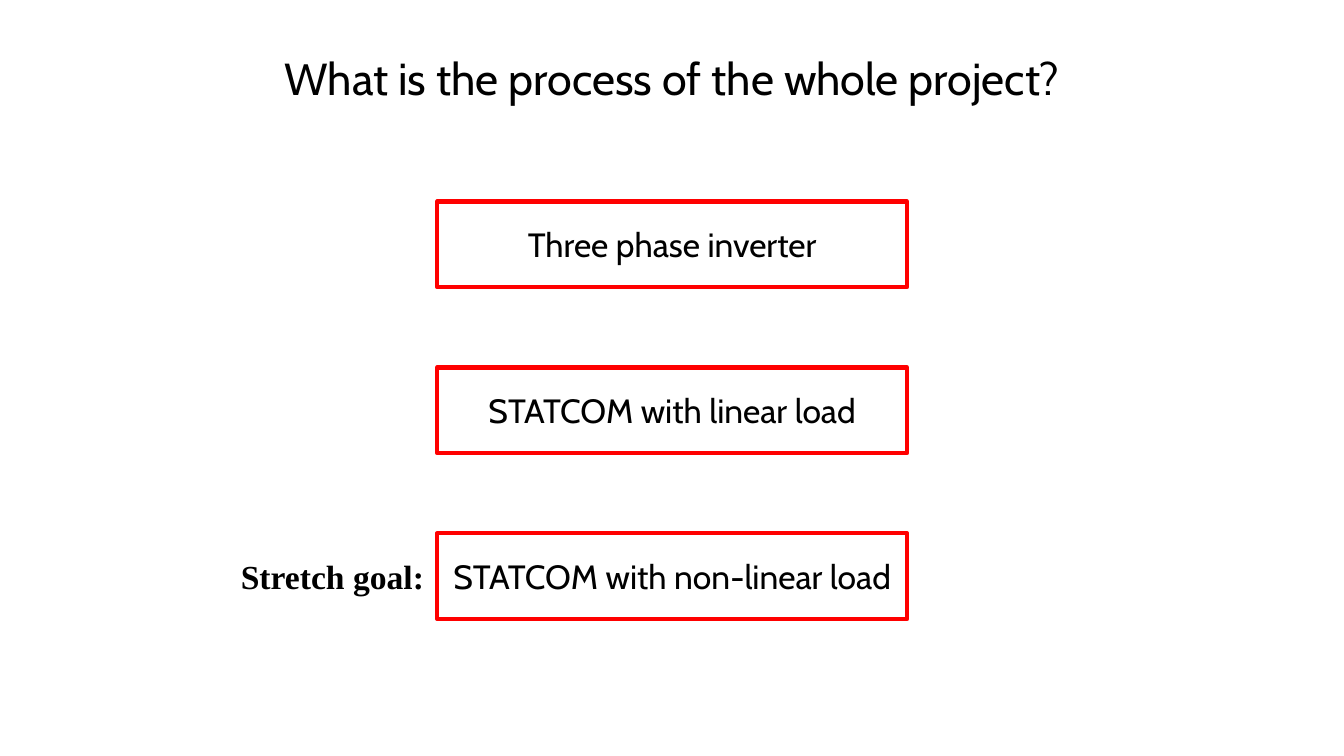
from pptx import Presentation
from pptx.dml.color import RGBColor
from pptx.enum.shapes import MSO_SHAPE
from pptx.enum.text import MSO_ANCHOR, PP_ALIGN
from pptx.util import Cm, Pt

RECTANGLE = MSO_SHAPE.RECTANGLE
MIDDLE = MSO_ANCHOR.MIDDLE
LEFT, CENTER = PP_ALIGN.LEFT, PP_ALIGN.CENTER

COLORS = {"text": "000000", "box": "FFFFFF", "outline": "FF0000"}
STAGES = [
    "Three phase inverter",
    "STATCOM with linear load",
    "STATCOM with non-linear load",
]
STAGE_HEIGHT = 2.16
STRETCH_WIDTH = 5.2
STRETCH_HEIGHT = 1.28


def color(name):
    return RGBColor.from_string(COLORS[name])


def write(frame, text, size, align=CENTER, font="Cabin", bold=False):
    frame.word_wrap = True
    frame.vertical_anchor = MIDDLE
    paragraph = frame.paragraphs[0]
    paragraph.text = text
    paragraph.alignment = align
    paragraph.font.name = font
    paragraph.font.size = Pt(size)
    paragraph.font.bold = bold
    paragraph.font.color.rgb = color("text")
    return paragraph


def add_title(slide, left, top, width, height):
    title = slide.shapes.add_textbox(Cm(left), Cm(top), Cm(width), Cm(height))
    question = write(title.text_frame, "What is the process of the whole project?", 32)
    question.line_spacing = 0.9


def add_stage(slide, text, left, top, width, height):
    stage = slide.shapes.add_shape(RECTANGLE, Cm(left), Cm(top), Cm(width), Cm(height))
    stage.shadow.inherit = False
    stage.fill.solid()
    stage.fill.fore_color.rgb = color("box")
    stage.line.color.rgb = color("outline")
    stage.line.width = Pt(3)
    write(stage.text_frame, text, 24)


def add_stretch_label(slide, left, top, width, height):
    label = slide.shapes.add_textbox(Cm(left), Cm(top), Cm(width), Cm(height))
    write(label.text_frame, "Stretch goal:", 24, LEFT, "Times New Roman", True)


def add_process(slide, left, top, width, height):
    pitch = (height - STAGE_HEIGHT) / (len(STAGES) - 1)
    for index, text in enumerate(STAGES):
        add_stage(slide, text, left, top + index * pitch, width, STAGE_HEIGHT)
    label_top = top + height - (STAGE_HEIGHT + STRETCH_HEIGHT) / 2
    add_stretch_label(slide, left - STRETCH_WIDTH, label_top, STRETCH_WIDTH, STRETCH_HEIGHT)


def main():
    presentation = Presentation()
    presentation.slide_width = Cm(33.87)
    presentation.slide_height = Cm(19.05)
    slide = presentation.slides.add_slide(presentation.slide_layouts[6])
    add_process(slide, 11.02, 5.08, 11.84, 10.52)
    add_title(slide, 2.33, 0.79, 29.21, 2.51)
    presentation.save("out.pptx")


if __name__ == "__main__":
    main()
